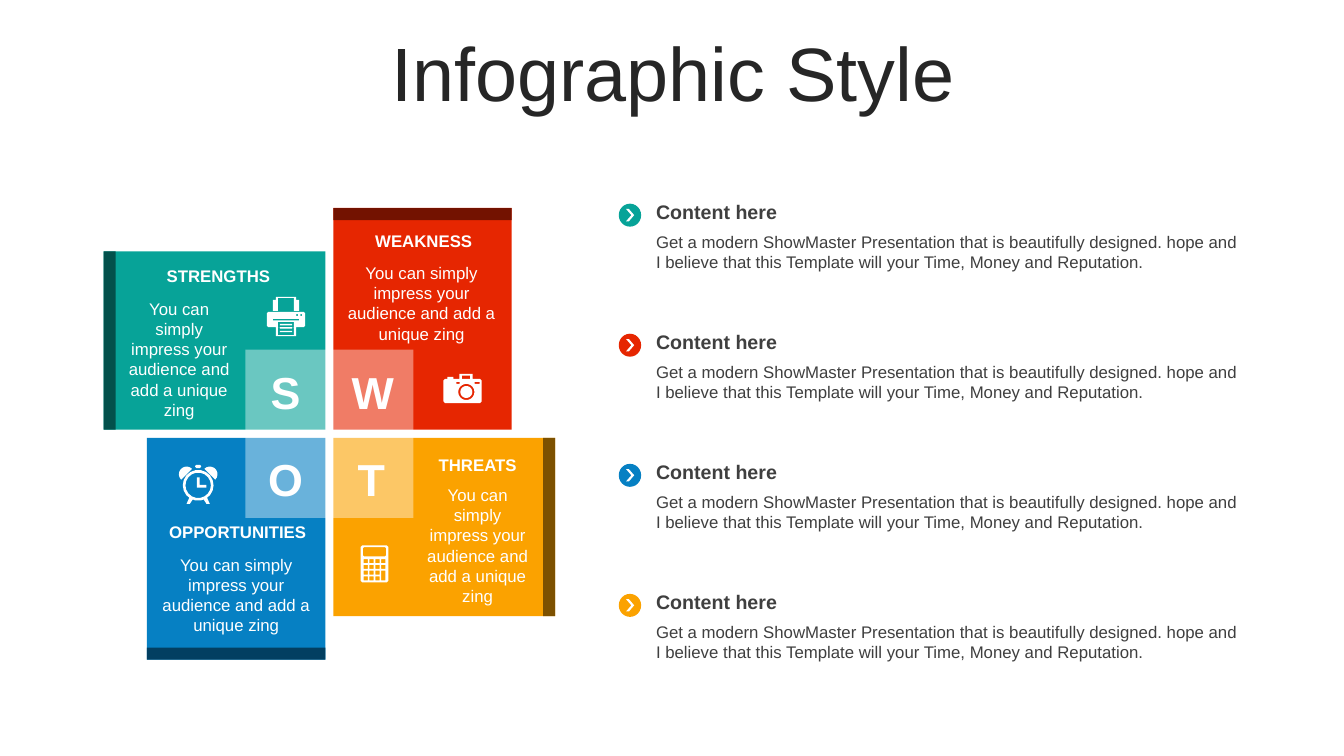
from math import cos, radians, sin

from lxml import etree
from pptx import Presentation
from pptx.dml.color import RGBColor
from pptx.enum.shapes import MSO_SHAPE
from pptx.enum.text import MSO_ANCHOR, PP_ALIGN
from pptx.oxml.ns import qn
from pptx.util import Pt

RECT, OVAL, CHEVRON = MSO_SHAPE.RECTANGLE, MSO_SHAPE.OVAL, MSO_SHAPE.CHEVRON
TOP, MIDDLE = MSO_ANCHOR.TOP, MSO_ANCHOR.MIDDLE
LEFT, CENTER = PP_ALIGN.LEFT, PP_ALIGN.CENTER

WHITE, DARK, GREY = "FFFFFF", "262626", "3F3F3F"
TEAL, RED, BLUE, ORANGE = "07A398", "E62601", "0680C3", "FBA200"
ZING = "You can simply impress your audience and add a unique zing"
BLURB = ("Get a modern ShowMaster Presentation that is beautifully designed. hope and "
         "I believe that this Template will your Time, Money and Reputation.")

LONG, SHORT, STRIP, GAP, OVERLAY = 158.4, 127.4, 8.6, 5.8, 120.2


def paint(sp, color):
    sp.shadow.inherit = False
    sp.fill.solid()
    sp.fill.fore_color.rgb = RGBColor.from_string(color)
    sp.line.fill.background()
    return sp


def add_shape(s, kind, x, y, w, h, color):
    return paint(s.shapes.add_shape(kind, Pt(x), Pt(y), Pt(w), Pt(h)), color)


def add_text(s, text, x, y, w, h, size, color, bold=False, align=CENTER, anchor=TOP):
    tf = s.shapes.add_textbox(Pt(x), Pt(y), Pt(w), Pt(h)).text_frame
    tf.word_wrap = True
    tf.vertical_anchor = anchor
    tf.text = text
    p = tf.paragraphs[0]
    p.alignment = align
    font = p.runs[0].font
    font.name, font.size, font.bold = "Arial", Pt(size), bold
    font.color.rgb = RGBColor.from_string(color)
    return p


def arc(cx, cy, r, start=0, end=360):
    """Points along an arc, with angles running clockwise from the right."""
    steps = (end - start) // 20
    angles = [radians(start + (end - start) * i / steps) for i in range(steps + 1)]
    return [(cx + r * cos(a), cy + r * sin(a)) for a in angles]


def box(x, y, w, h, cut=0):
    """Outline of a rectangle whose corners may be cut off."""
    right, bottom = x + w, y + h
    if not cut:
        return [(x, y), (right, y), (right, bottom), (x, bottom)]
    return [(x + cut, y), (right - cut, y), (right, y + cut), (right, bottom - cut),
            (right - cut, bottom), (x + cut, bottom), (x, bottom - cut), (x, y + cut)]


def printer():
    tray = [(6.5, 0), (20.9, 0), (20.9, 2.2), (23, 2.2), (23, 10.1), (19.4, 10.1),
            (19.4, 0.7), (7.9, 0.7), (7.9, 10.1), (4.3, 10.1), (4.3, 2.2), (6.5, 2.2)]
    lines = [box(9.4, y, 8.6, 1) for y in (19.4, 21.8, 24.3)]
    return [box(0, 10.8, 27.4, 10.8, 1), box(6.5, 21.6, 14.4, 6.5), tray,
            box(4.3, 15.8, 18.7, 1), box(7.9, 18, 11.5, 9.4),
            box(21, 12.4, 1.3, 1.3), box(23.9, 12.4, 1.3, 1.3)] + lines


def camera():
    return [box(0, 3.6, 27.4, 17.3, 1.2), box(2.9, 2.2, 4.3, 1.4),
            box(11.5, 0, 9.4, 3.6), box(13.3, 1.4, 5.8, 2.2),
            box(9.4, 5.8, 2.2, 1.4), box(22.3, 5.8, 3.6, 1.4),
            arc(16.4, 13, 5.8), arc(16.4, 13, 4.3)]


def clock():
    leg = [(8, 23.6), (10.4, 24.9), (8.4, 28), (6, 28)]
    mirrored_leg = [(28.6 - x, y) for x, y in leg]
    hands = [(13.3, 9.2), (15.3, 9.2), (15.3, 14.4), (20.2, 14.4), (20.2, 16.5),
             (13.3, 16.5)]
    return [arc(14.3, 14.8, 11), arc(14.3, 14.8, 9.1), hands, leg, mirrored_leg,
            arc(6, 6.9, 5.5, 135, 315), arc(22.6, 6.9, 5.5, 225, 405),
            box(12.1, 0.1, 4.4, 2.4, 1)]


def calculator():
    keys = [box(2.1 + 4.2 * col, 9.9 + 4.1 * row, 3, 7 if (row, col) == (2, 3) else 2.9)
            for row in range(4) for col in range(4) if (row, col) != (3, 3)]
    return [box(0, 0, 19.8, 26.6, 1.2), box(1.6, 1.4, 16.6, 6.5, 0.8)] + keys


def add_icon(s, outlines, x, y):
    """Draw outlines as one shape, where an inner outline cuts a hole."""
    placed = [[(Pt(x + px), Pt(y + py)) for px, py in points] for points in outlines]
    builder = s.shapes.build_freeform(*placed[0][0])
    for i, points in enumerate(placed):
        if i:
            builder.move_to(*points[0])
        builder.add_line_segments(points[1:], close=True)
    paint(builder.convert_to_shape(), WHITE)


# letter, title, colour, strip colour, column, row, then places within the panel:
# title (x, y, w), body (x, y, w, h), icon outlines, icon (x, y)
PANELS = [
    ("S", "STRENGTHS", TEAL, "03514C", 0, 0,
     (7.9, 6.5, 148.3), (7.9, 30.2, 92.2, 94.3), printer(), (116.6, 32.4)),
    ("W", "WEAKNESS", RED, "731200", 1, 0,
     (5.8, 12.6, 117.4), (1.4, 35.6, 123.1, 65.5), camera(), (78.5, 118.4)),
    ("O", "OPPORTUNITIES", BLUE, "023F61", 0, 1,
     (3.6, 56.5, 122.4), (2.2, 79.6, 123.1, 65.5), clock(), (22.3, 19.1)),
    ("T", "THREATS", ORANGE, "7D5100", 1, 1,
     (56.9, 8.3, 92.2), (56.9, 29.9, 92.2, 94.3), calculator(), (19.4, 76.7)),
]


def add_pinwheel(s, x, y):
    """Four panels turning around a centre; wide and tall ones alternate."""
    cx, cy = x + LONG + GAP / 2, y + LONG + GAP / 2
    corners = []
    for _, _, color, strip, col, row, *_ in PANELS:
        wide = col == row
        w, h = (LONG, SHORT) if wide else (SHORT, LONG)
        px = cx + GAP / 2 if col else cx - GAP / 2 - w
        py = cy + GAP / 2 if row else cy - GAP / 2 - h
        add_shape(s, RECT, px, py, w, h, color)
        if wide:
            add_shape(s, RECT, px + col * (w - STRIP), py, STRIP, h, strip)
        else:
            add_shape(s, RECT, px, py + row * (h - STRIP), w, STRIP, strip)
        corners.append((px, py))

    glass = add_shape(s, RECT, cx - OVERLAY / 2, cy - OVERLAY / 2, OVERLAY, OVERLAY, WHITE)
    glass_color = glass.element.spPr.find(qn("a:solidFill"))[0]
    etree.SubElement(glass_color, qn("a:alpha"), val="40000")

    for (px, py), panel in zip(corners, PANELS):
        letter, title, _, _, col, row, head, body, outlines, icon = panel
        add_text(s, letter, cx - 52.5 + 61.2 * col, cy - 52.9 + 61.9 * row, 42.5, 46,
                 32, WHITE, True)
        add_text(s, title, px + head[0], py + head[1], head[2], 21.8, 12, WHITE, True)
        add_text(s, ZING, px + body[0], py + body[1], *body[2:], 12, WHITE)
        add_icon(s, outlines, px + icon[0], py + icon[1])


def add_point(s, x, y, w, color):
    """A round arrow bullet with a heading and a text beside it."""
    add_shape(s, OVAL, x, y + 6.5, 16, 16.4, color)
    chevron = add_shape(s, CHEVRON, x + 5.2, y + 10.3, 5.8, 8.8, WHITE)
    chevron.adjustments[0] = 0.65
    add_text(s, "Content here", x + 19.5, y, w - 19.5, 24.2, 14, GREY, True, LEFT, MIDDLE)
    add_text(s, BLURB, x + 19.5, y + 23, w - 19.5, 36.4, 12, GREY, align=LEFT)


def main():
    prs = Presentation()
    prs.slide_width, prs.slide_height = Pt(960), Pt(540)
    s = prs.slides.add_slide(prs.slide_layouts[6])
    title = add_text(s, "Infographic Style", 25.2, 26.6, 911.5, 56.9, 54, DARK, anchor=MIDDLE)
    title.line_spacing = 0.9
    add_pinwheel(s, 74, 148.6)
    for i, color in enumerate((TEAL, RED, BLUE, ORANGE)):
        add_point(s, 442, 139 + 92.9 * i, 453, color)
    prs.save("out.pptx")


if __name__ == "__main__":
    main()
